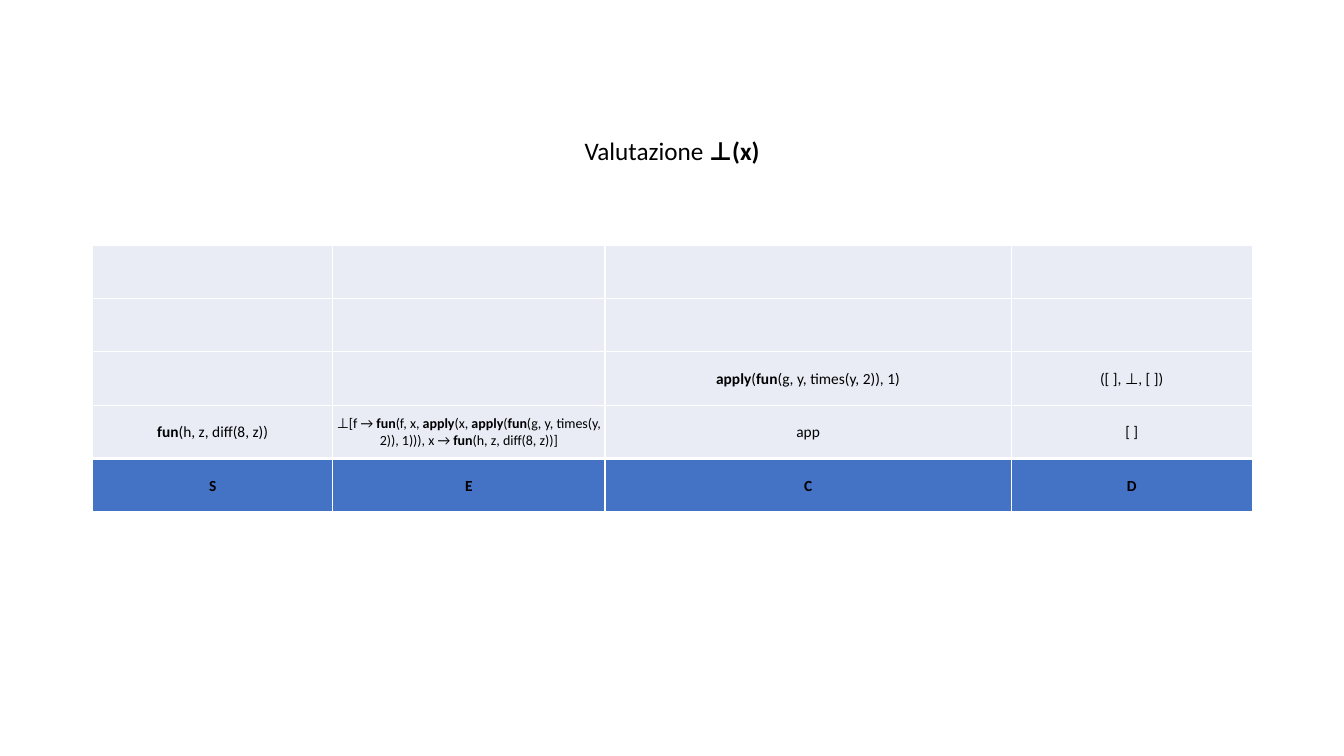
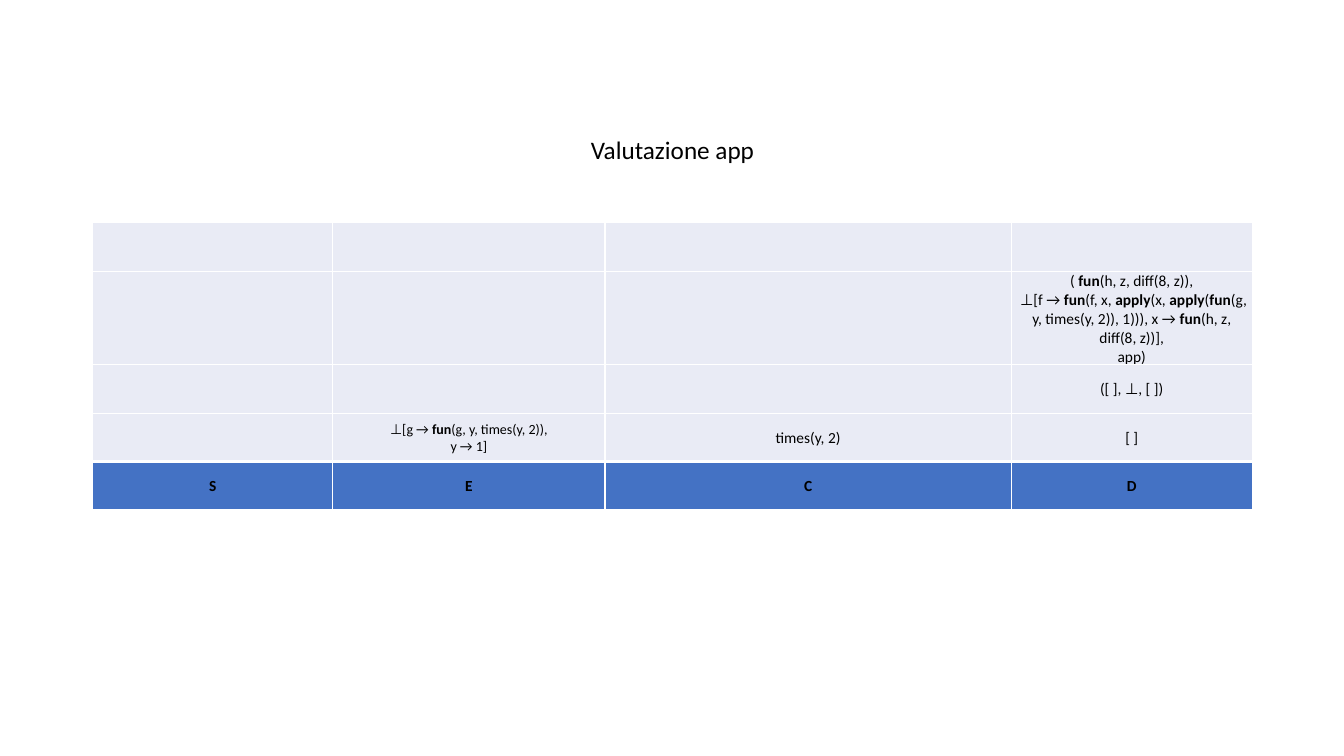
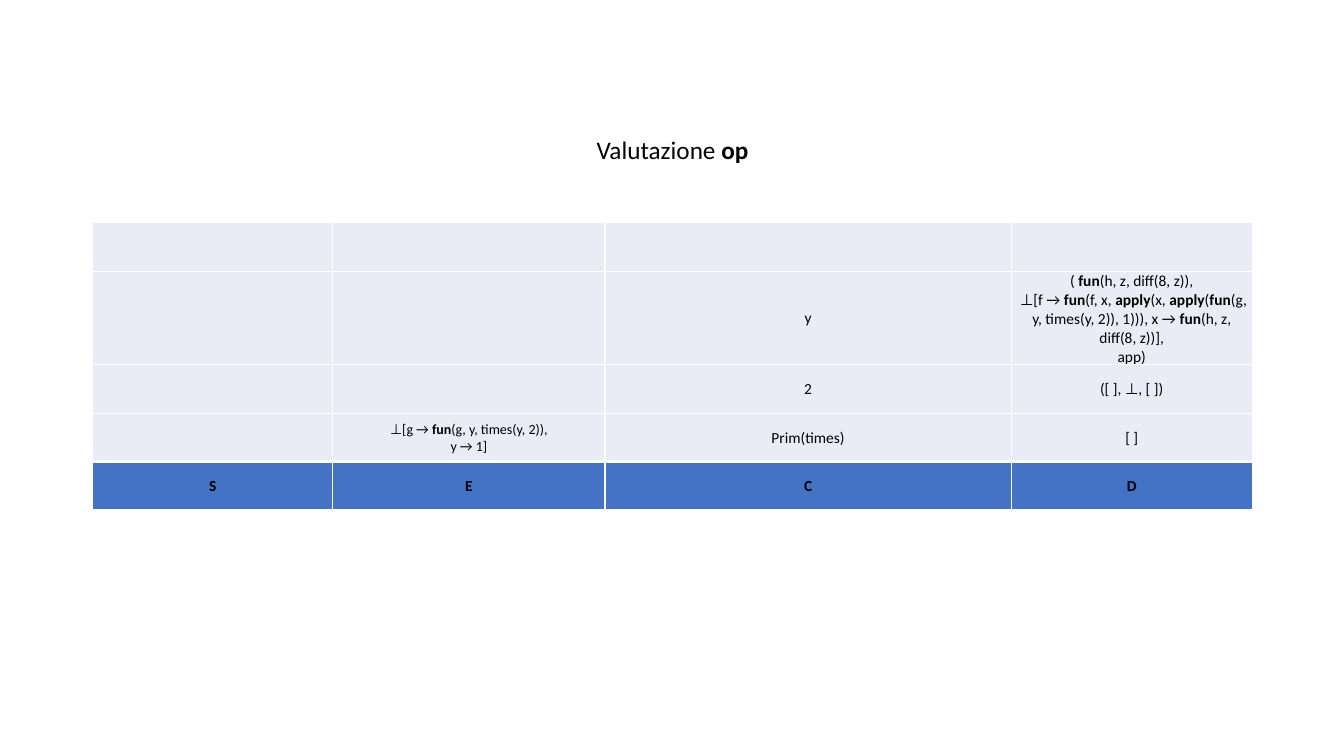
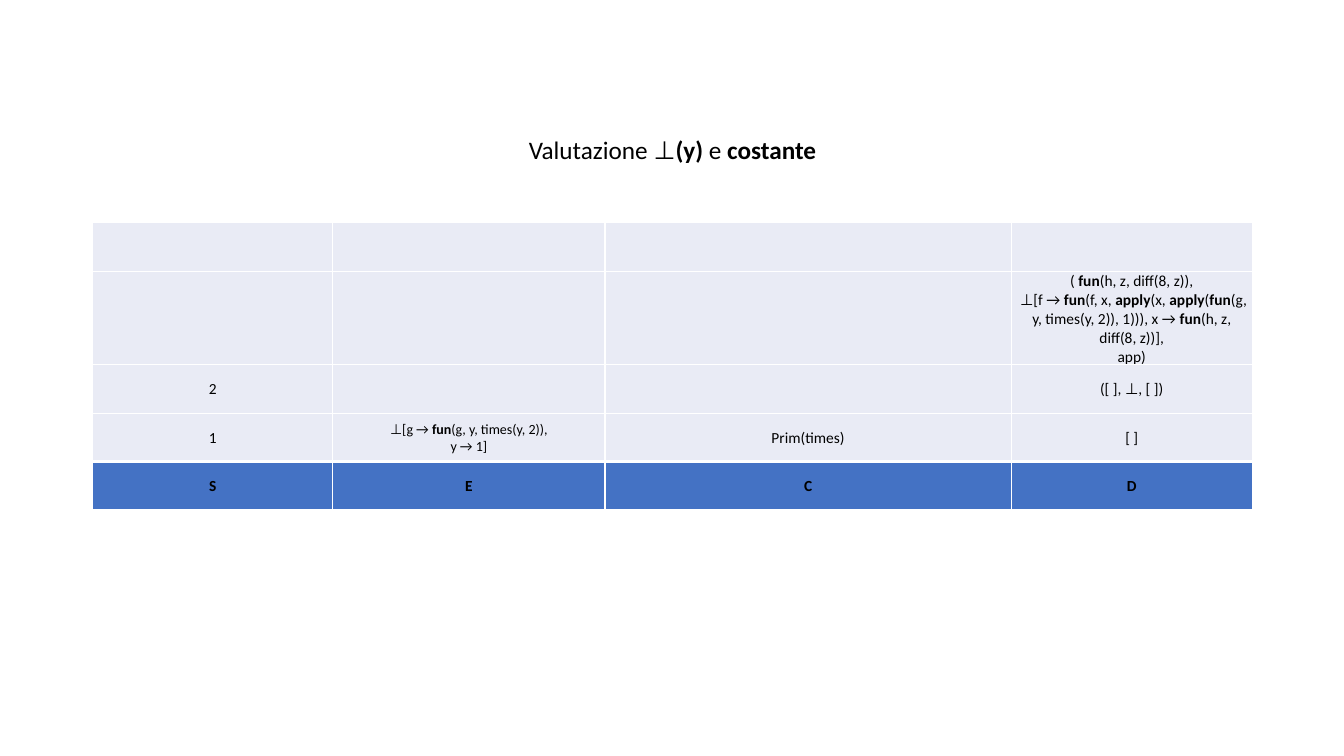
from dataclasses import dataclass

from lxml.etree import SubElement
from pptx import Presentation
from pptx.dml.color import RGBColor
from pptx.enum.text import MSO_ANCHOR, MSO_AUTO_SIZE, PP_ALIGN
from pptx.oxml.ns import qn
from pptx.util import Inches, Pt


@dataclass(frozen=True)
class Theme:
    font: str = "Calibri"
    text: str = "000000"
    body_fill: str = "E9EBF5"
    label_fill: str = "4472C4"
    border: str = "FFFFFF"
    title_size: int = 18
    cell_size: int = 11
    environment_size: int = 10
    border_width: int = 1
    label_border_width: int = 3


@dataclass(frozen=True)
class Box:
    left: float
    top: float
    width: float
    height: float


THEME = Theme()
COLUMN_WIDTHS = (2.38, 2.7, 4.03, 2.39)
LABELS = ("*S*", "*E*", "*C*", "*D*")
ENVIRONMENT_COLUMN = 1

FUN_F = "*fun*(f, x, *apply*(x, *apply*(*fun*(g, y, times(y, 2)), 1)))"
FUN_H = "*fun*(h, z, diff(8, z))"
ENVIRONMENT_X = f"⊥[f → {FUN_F}, x → {FUN_H}]"
ENVIRONMENT_Y = "⊥[g → *fun*(g, y, times(y, 2)),\ny → 1]"
SAVED_STATE = f"( {FUN_H},\n {ENVIRONMENT_X},\napp)"
START_STATE = "([ ], ⊥, [ ])"
EMPTY_STACK = "[ ]"
BLANK_ROW = ("", "", "", "")

FIRST_TITLE = Box(5.32, 1.29, 2.69, 0.4)
FIRST_TABLE = Box(0.92, 2.43, 11.5, 2.64)
FIRST_HEIGHTS = (0.53,) * 5
LATER_TITLE = Box(4.87, 1.28, 3.6, 0.4)
LATER_TABLE = Box(0.92, 2.21, 11.5, 2.85)
LATER_HEIGHTS = (0.48, 0.93, 0.48, 0.48, 0.48)


def set_values(target, values):
    for name, value in values.items():
        setattr(target, name, value)


def box_values(box):
    return {side: Inches(getattr(box, side)) for side in ("left", "top", "width", "height")}


def write_text(frame, text, size):
    para = frame.paragraphs[0]
    para.alignment = PP_ALIGN.CENTER
    for index, part in enumerate(text.split("*")):
        for line_index, line in enumerate(part.split("\n")):
            if line_index:
                para.add_line_break()
            if line:
                span = para.add_run()
                span.text = line
                set_values(span.font, {"name": THEME.font, "size": Pt(size), "bold": index % 2 == 1})
                span.font.color.rgb = RGBColor.from_string(THEME.text)


def add_borders(cell, widths):
    properties = cell._tc.get_or_add_tcPr()
    for side, width in widths.items():
        line = SubElement(properties, qn(f"a:ln{side}"), w=str(Pt(width)))
        SubElement(SubElement(line, qn("a:solidFill")), qn("a:srgbClr"), val=THEME.border)


def format_cell(cell, fill, widths):
    set_values(cell, {
        "vertical_anchor": MSO_ANCHOR.MIDDLE,
        "margin_left": Inches(0.01),
        "margin_top": Inches(0.01),
        "margin_right": Inches(0.01),
        "margin_bottom": 0,
    })
    add_borders(cell, widths)
    cell.fill.solid()
    cell.fill.fore_color.rgb = RGBColor.from_string(fill)


def add_title(page, box, text):
    title = page.shapes.title
    set_values(title, box_values(box))
    set_values(title.text_frame, {
        "word_wrap": True,
        "auto_size": MSO_AUTO_SIZE.SHAPE_TO_FIT_TEXT,
        "vertical_anchor": MSO_ANCHOR.TOP,
    })
    write_text(title.text_frame, text, THEME.title_size)


def add_stack_table(page, box, heights, body):
    rows = (*body, LABELS)
    label_row = len(rows) - 1
    frame = page.shapes.add_table(len(rows), len(LABELS), **box_values(box))
    table = frame.table
    set_values(table, {"first_row": False, "horz_banding": False})
    for column, width in zip(table.columns, COLUMN_WIDTHS):
        column.width = Inches(width)
    for row_index, (texts, height) in enumerate(zip(rows, heights)):
        table.rows[row_index].height = Inches(height)
        is_label = row_index == label_row
        widths = dict.fromkeys("LRTB", THEME.border_width)
        if is_label:
            widths["T"] = THEME.label_border_width
        elif row_index == label_row - 1:
            widths["B"] = THEME.label_border_width
        fill = THEME.label_fill if is_label else THEME.body_fill
        for column_index, text in enumerate(texts):
            cell = table.cell(row_index, column_index)
            format_cell(cell, fill, widths)
            is_environment = column_index == ENVIRONMENT_COLUMN and not is_label
            size = THEME.environment_size if is_environment else THEME.cell_size
            write_text(cell.text_frame, text, size)


def add_evaluation(deck, title, body, title_box=LATER_TITLE, table_box=LATER_TABLE,
                   heights=LATER_HEIGHTS):
    page = deck.slides.add_slide(deck.slide_layouts.get_by_name("Title Only"))
    add_title(page, title_box, title)
    add_stack_table(page, table_box, heights, body)


def main():
    deck = Presentation()
    set_values(deck, {"slide_width": Inches(13.33), "slide_height": Inches(7.5)})
    add_evaluation(deck, "Valutazione *⊥(x)*", (
        BLANK_ROW,
        BLANK_ROW,
        ("", "", "*apply*(*fun*(g, y, times(y, 2)), 1)", START_STATE),
        (FUN_H, ENVIRONMENT_X, "app", EMPTY_STACK),
    ), FIRST_TITLE, FIRST_TABLE, FIRST_HEIGHTS)
    add_evaluation(deck, "Valutazione app", (
        BLANK_ROW,
        ("", "", "", SAVED_STATE),
        ("", "", "", START_STATE),
        ("", ENVIRONMENT_Y, "times(y, 2)", EMPTY_STACK),
    ))
    add_evaluation(deck, "Valutazione *op*", (
        BLANK_ROW,
        ("", "", "y", SAVED_STATE),
        ("", "", "2", START_STATE),
        ("", ENVIRONMENT_Y, "Prim(times)", EMPTY_STACK),
    ))
    add_evaluation(deck, "Valutazione ⊥*(y)* e *costante*", (
        BLANK_ROW,
        ("", "", "", SAVED_STATE),
        ("2", "", "", START_STATE),
        ("1", ENVIRONMENT_Y, "Prim(times)", EMPTY_STACK),
    ))
    deck.save("out.pptx")


if __name__ == "__main__":
    main()
